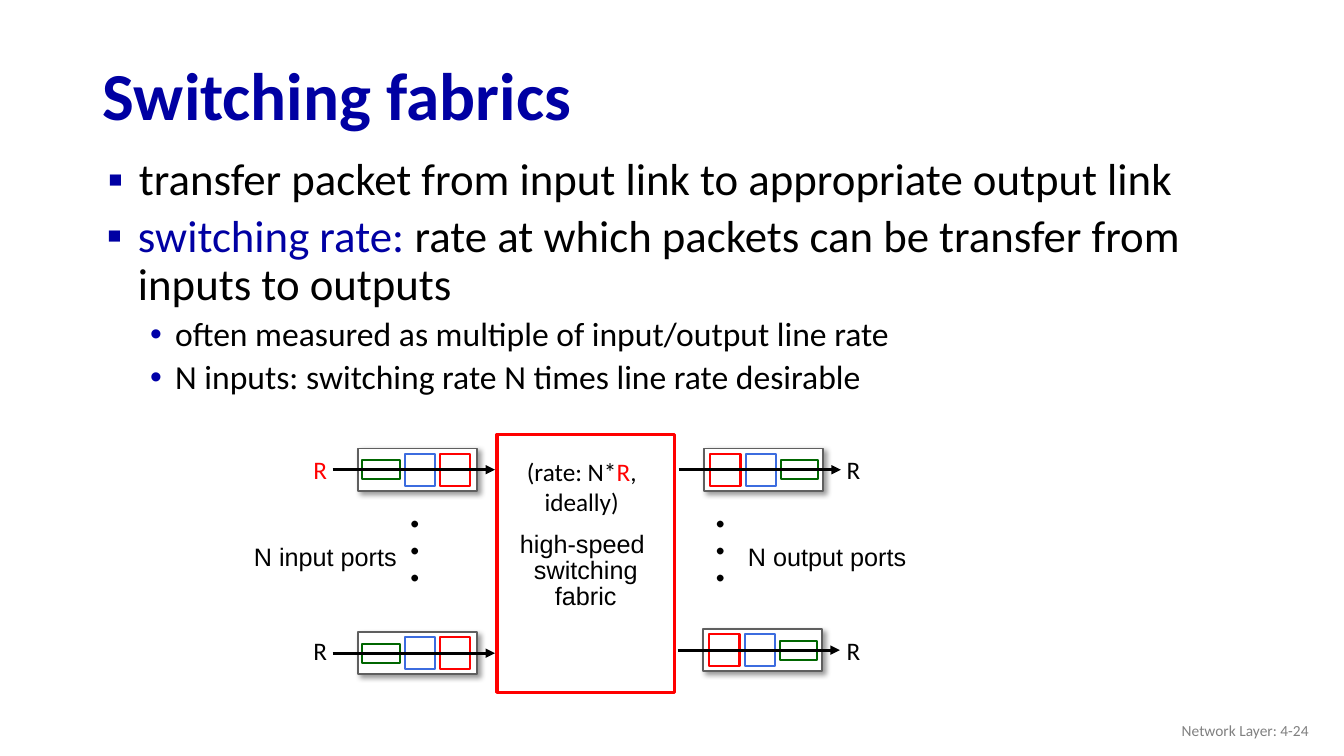
"""Build the slide on switching fabrics, with input and output ports around the fabric."""
from lxml import etree
from pptx import Presentation
from pptx import util as u
from pptx.dml.color import RGBColor
from pptx.enum import shapes, text
from pptx.oxml.ns import qn

COLOURS = {"black": "000000", "white": "FFFFFF", "navy": "0000A3", "bullet": "0000A8",
           "red": "FF0000", "blue": "3C6CDF", "green": "006600", "grey": "5F5F5F",
           "footer": "808080"}
CELL = u.Inches(0.1)
PORT_WIDTH, PORT_HEIGHT = 11.8, 4.2
LEFT, CENTRE, RIGHT = text.PP_ALIGN.LEFT, text.PP_ALIGN.CENTER, text.PP_ALIGN.RIGHT
BULLETS = [("▪", "navy", 3.9, 3.1, 10), ("•", "bullet", 7.6, 2.5, 5)]

deck = Presentation()
deck.slide_width, deck.slide_height = u.Inches(13.33), u.Inches(7.5)
slide = deck.slides.add_slide(deck.slide_layouts[5])


def write(area, paragraphs, size=18, font="Calibri", bold=False, align=LEFT, spacing=None,
          wrap=True, anchor=text.MSO_ANCHOR.TOP, levels=None, holder=None, turn=0):
    """Write paragraphs of (words, colour) runs into an area measured in cells."""
    holder = holder or slide.shapes.add_textbox(0, 0, 0, 0)
    holder.left, holder.top, holder.width, holder.height = [round(n * CELL) for n in area]
    holder.rotation = turn
    frame = holder.text_frame
    frame.word_wrap = wrap
    frame.auto_size = text.MSO_AUTO_SIZE.NONE if wrap else text.MSO_AUTO_SIZE.SHAPE_TO_FIT_TEXT
    frame.vertical_anchor = anchor
    for index, runs in enumerate(paragraphs):
        paragraph = frame.add_paragraph() if index else frame.paragraphs[0]
        paragraph.alignment = align
        paragraph.line_spacing = spacing
        if levels:
            level = levels[index]
            mark, mark_colour, margin, hanging, gap = BULLETS[level]
            paragraph.level = level
            if index:
                paragraph.space_before = u.Pt(gap)
            properties = paragraph._p.get_or_add_pPr()
            properties.set("marL", str(round(margin * CELL)))
            properties.set("indent", str(-round(hanging * CELL)))
            tint = etree.SubElement(properties, qn("a:buClr"))
            etree.SubElement(tint, qn("a:srgbClr"), val=COLOURS[mark_colour])
            etree.SubElement(properties, qn("a:buFont"), typeface="Arial")
            etree.SubElement(properties, qn("a:buChar"), char=mark)
        for words, colour in runs:
            run = paragraph.add_run()
            run.text = words
            run.font.size = u.Pt(24 if levels and levels[index] else size)
            run.font.name = font
            run.font.bold = bold
            run.font.color.rgb = RGBColor.from_string(COLOURS[colour])


def outline(area, colour, weight, shadow=False):
    """Draw a white rectangle with a coloured outline."""
    box = slide.shapes.add_shape(shapes.MSO_SHAPE.RECTANGLE, *[round(n * CELL) for n in area])
    box.fill.solid()
    box.fill.fore_color.rgb = RGBColor.from_string(COLOURS["white"])
    box.line.color.rgb = RGBColor.from_string(COLOURS[colour])
    box.line.width = u.Pt(weight)
    box.shadow.inherit = False
    if shadow:
        effects = box.element.spPr.find(qn("a:effectLst"))
        cast = etree.SubElement(effects, qn("a:outerShdw"), blurRad=str(u.Pt(4)),
                                dist=str(u.Pt(3)), dir="2700000", algn="tl", rotWithShape="0")
        shade = etree.SubElement(cast, qn("a:srgbClr"), val=COLOURS["black"])
        etree.SubElement(shade, qn("a:alpha"), val="40000")


write((9.2, 4.9, 115, 9.8), [[("Switching fabrics", "navy")]], size=48, bold=True,
      spacing=0.9, anchor=text.MSO_ANCHOR.MIDDLE, holder=slide.shapes.title)
write((8.9, 15.1, 120.7, 6.9),
      [[("transfer packet from input link to appropriate output link", "black")]],
      size=32, spacing=0.9, levels=[0])
write((8.8, 20.7, 120.7, 25.3), [
    [("switching rate: ", "navy"),
     ("rate at which packets can be transfer from inputs to outputs", "black")],
    [("often measured as multiple of input/output line rate", "black")],
    [("N inputs: switching rate N times line rate desirable", "black")],
], size=32, spacing=0.9, levels=[0, 1, 1])

outline((49.3, 43.1, 17.6, 25.6), "red", 2.25)
write((50.4, 44.8, 14.6, 7.1),
      [[("(rate: N*", "black"), ("R", "red"), (", ideally)", "black")]], align=CENTRE)
write((50.5, 52.4, 15.2, 8.7),
      [[(line, "black")] for line in ("high-speed ", "switching", "fabric")],
      font="Arial", align=CENTRE, spacing=0.85, wrap=False)

PACKETS = [("green", 0.45, 3.7, 1.9), ("blue", 4.65, 3, 3.2), ("red", 8.15, 3, 3.2)]
PORTS = [(35.5, 44.5, False), (35.5, 62.7, False), (69.8, 44.5, True), (69.7, 62.4, True)]
for port_left, port_top, is_output in PORTS:
    outline((port_left, port_top, PORT_WIDTH, PORT_HEIGHT), "grey", 1.25, shadow=True)
    middle = port_top + PORT_HEIGHT / 2
    for colour, offset, width, height in PACKETS:
        if is_output:
            offset = PORT_WIDTH - offset - width
        outline((port_left + offset, middle - height / 2, width, height), colour, 1.5)
    flow = slide.shapes.add_connector(
        shapes.MSO_CONNECTOR.STRAIGHT,
        *[round(n * CELL) for n in (port_left - 2.5, middle, port_left + 13.6, middle)])
    flow.line.color.rgb = RGBColor.from_string(COLOURS["black"])
    flow.line.width = u.Pt(2.25)
    flow_format = flow.element.spPr
    etree.SubElement(flow_format.find(qn("a:ln")), qn("a:tailEnd"), type="triangle")
    etree.SubElement(flow_format, qn("a:effectLst"))

for rate_left, rate_top, colour in [(30.1, 44.6, "red"), (30.1, 62.5, "black"),
                                    (83, 44.6, "black"), (83, 62.5, "black")]:
    write((rate_left, rate_top, 3.4, 4), [[("R", colour)]], wrap=False)

for ports_left, ports_width, ports, dots_left in [(24.2, 16.3, "N input ports", 38),
                                                  (73.2, 17.9, "N output ports", 68.3)]:
    write((ports_left, 53.2, ports_width, 4), [[(ports, "black")]], font="Arial", wrap=False)
    write((dots_left, 51.5, 10.1, 7.7), [[(". . . ", "black")]], size=40, align=CENTRE, turn=90)

write((100.8, 70.5, 30, 4), [[("Network Layer: 4-24", "footer")]], size=11, align=RIGHT,
      anchor=text.MSO_ANCHOR.MIDDLE)

deck.save("out.pptx")
